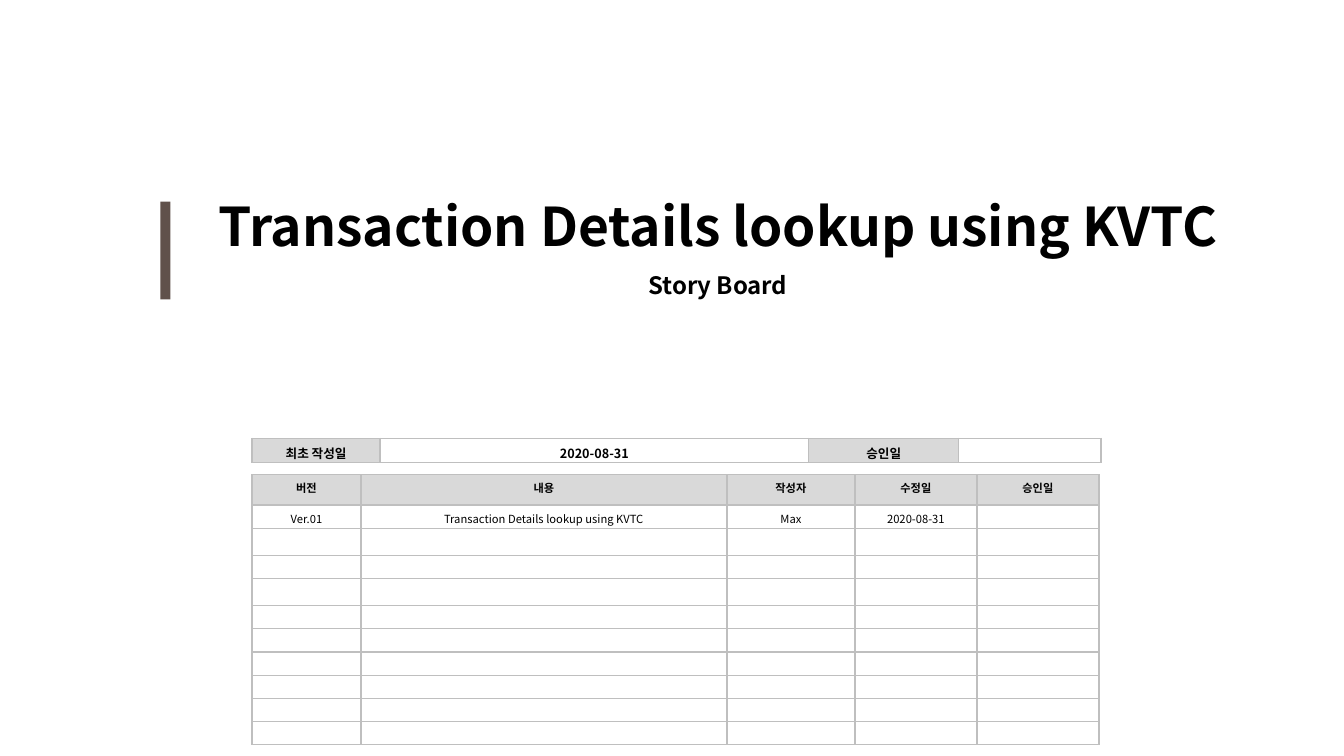
from dataclasses import dataclass

from lxml import etree
from pptx import Presentation
from pptx.dml.color import RGBColor
from pptx.enum.shapes import MSO_SHAPE
from pptx.enum.text import MSO_ANCHOR, MSO_AUTO_SIZE, PP_ALIGN
from pptx.oxml.ns import qn
from pptx.util import Inches, Pt

RECTANGLE = MSO_SHAPE.RECTANGLE
CENTER = PP_ALIGN.CENTER
TOP = MSO_ANCHOR.TOP
MIDDLE = MSO_ANCHOR.MIDDLE
NO_AUTOFIT = MSO_AUTO_SIZE.NONE

BLACK = RGBColor(0x00, 0x00, 0x00)
WHITE = RGBColor(0xFF, 0xFF, 0xFF)
BROWN = RGBColor(0x60, 0x51, 0x4B)
LABEL_GRAY = RGBColor(0xD9, 0xD9, 0xD9)
BORDER_GRAY = RGBColor(0xBF, 0xBF, 0xBF)
FONT = "Noto Sans CJK KR"
PROJECT = "Transaction Details lookup using KVTC"


@dataclass(frozen=True)
class Heading:
    text: str
    top: float
    height: float
    size: float


@dataclass(frozen=True)
class Grid:
    top: float
    columns: list[float]
    rows: list[float]
    texts: list[list[str]]
    size: float
    label_cells: set[tuple[int, int]]
    bold_rows: set[int]


TITLE = Heading(PROJECT, 1.86, 0.74, 38.1)
SUBTITLE = Heading("Story Board", 2.63, 0.39, 17.1)

HISTORY = Grid(
    top=4.71,
    columns=[1.08, 3.63, 1.27, 1.21, 1.21],
    rows=[0.3, 0.23, 0.27, 0.23, 0.27] + [0.23] * 6,
    texts=[
        ["버전", "내용", "작성자", "수정일", "승인일"],
        ["Ver.01", PROJECT, "Max", "2020-08-31", ""],
    ] + [[""] * 5] * 9,
    size=8,
    label_cells={(0, column) for column in range(5)},
    bold_rows={0},
)
APPROVAL = Grid(
    top=4.35,
    columns=[1.27, 4.25, 1.49, 1.41],
    rows=[0.24],
    texts=[["최초 작성일", "2020-08-31", "승인일", ""]],
    size=9,
    label_cells={(0, 0), (0, 2)},
    bold_rows={0},
)


def add_span(para, text: str, size: float, bold: bool) -> None:
    para.alignment = CENTER
    if not text:
        etree.SubElement(para._p, qn("a:endParaRPr"), sz=str(int(size * 100)))
        return
    span = para.add_run()
    span.text = text
    span.font.name = FONT
    span.font.size = Pt(size)
    span.font.bold = bold
    span.font.color.rgb = BLACK
    etree.SubElement(span.font._element, qn("a:ea"), typeface=FONT)


def place_heading(holder, heading: Heading) -> None:
    holder.left, holder.top = Inches(1.79), Inches(heading.top)
    holder.width, holder.height = Inches(10.66), Inches(heading.height)
    box = holder.text_frame
    box.word_wrap = True
    box.auto_size = NO_AUTOFIT
    box.vertical_anchor = MIDDLE
    box.margin_left = box.margin_right = box.margin_top = box.margin_bottom = 0
    para = box.paragraphs[0]
    para.space_before = Pt(0)
    add_span(para, heading.text, heading.size, True)


def add_borders(cell) -> None:
    properties = cell._tc.get_or_add_tcPr()
    for position, side in enumerate(("a:lnL", "a:lnR", "a:lnT", "a:lnB")):
        line = etree.Element(qn(side), w=str(Pt(1)))
        fill = etree.SubElement(line, qn("a:solidFill"))
        etree.SubElement(fill, qn("a:srgbClr"), val=str(BORDER_GRAY))
        properties.insert(position, line)


def add_grid(page, grid: Grid) -> None:
    table = page.shapes.add_table(
        len(grid.rows), len(grid.columns), Inches(2.5), Inches(grid.top),
        Inches(sum(grid.columns)), Inches(sum(grid.rows)),
    ).table
    for column, width in zip(table.columns, grid.columns):
        column.width = Inches(width)
    for row_index, texts in enumerate(grid.texts):
        table.rows[row_index].height = Inches(grid.rows[row_index])
        for column_index, text in enumerate(texts):
            cell = table.cell(row_index, column_index)
            is_label = (row_index, column_index) in grid.label_cells
            cell.fill.solid()
            cell.fill.fore_color.rgb = LABEL_GRAY if is_label else WHITE
            cell.vertical_anchor = TOP
            cell.margin_bottom = 0
            add_borders(cell)
            para = cell.text_frame.paragraphs[0]
            add_span(para, text, grid.size, row_index in grid.bold_rows)


def add_accent_bar(page) -> None:
    bar = page.shapes.add_shape(
        RECTANGLE, Inches(1.59), Inches(2), Inches(0.1), Inches(0.97)
    )
    bar.shadow.inherit = False
    bar.fill.solid()
    bar.fill.fore_color.rgb = BROWN
    bar.line.fill.background()


def main() -> None:
    deck = Presentation()
    deck.slide_width, deck.slide_height = Inches(13.33), Inches(7.5)
    page = deck.slides.add_slide(deck.slide_layouts[0])
    place_heading(page.shapes.title, TITLE)
    place_heading(page.placeholders[1], SUBTITLE)
    add_accent_bar(page)
    add_grid(page, HISTORY)
    add_grid(page, APPROVAL)
    deck.save("out.pptx")


if __name__ == "__main__":
    main()
